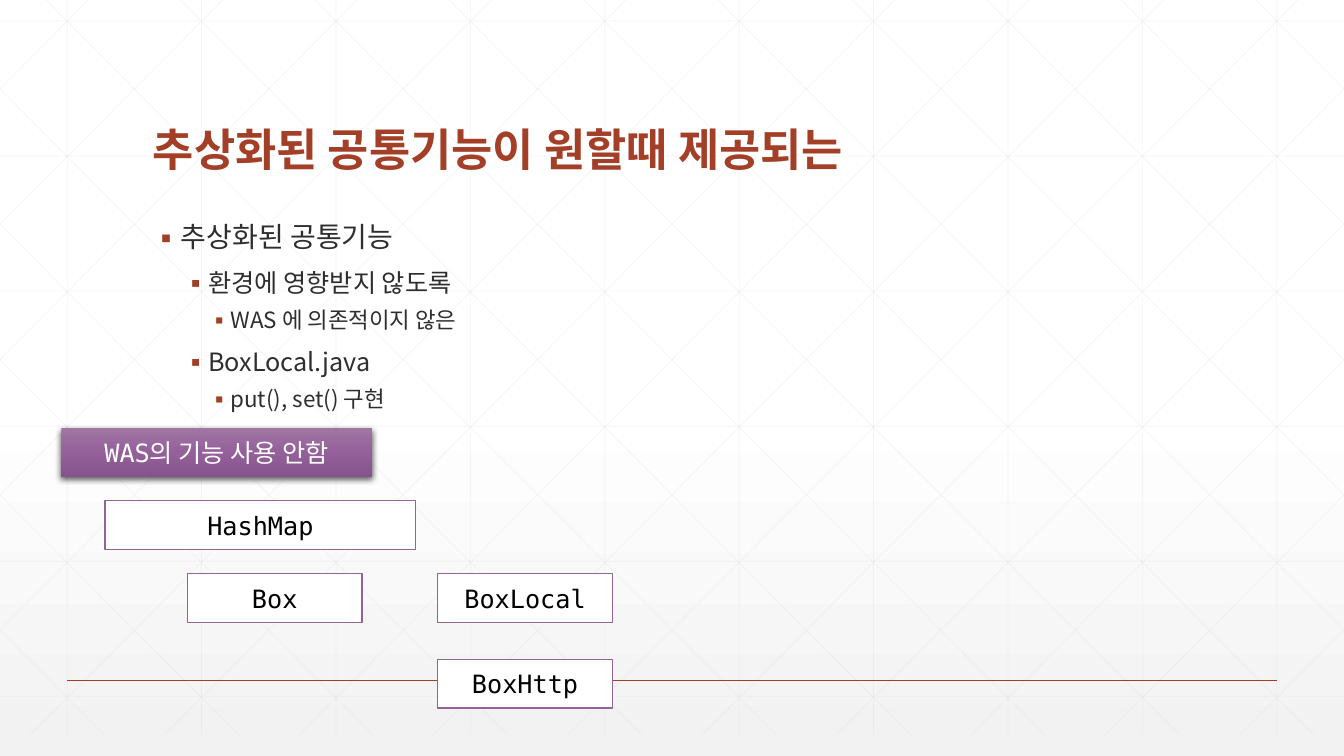
from dataclasses import dataclass
from typing import Optional

import lxml.etree
import pptx
import pptx.dml.color
import pptx.enum.shapes
import pptx.enum.text
import pptx.oxml
import pptx.oxml.ns
import pptx.util

RGBColor = pptx.dml.color.RGBColor
qn = pptx.oxml.ns.qn

RUST = RGBColor(0xA4, 0x3F, 0x27)
INK = RGBColor(0x2D, 0x2E, 0x2D)
BLACK = RGBColor(0x00, 0x00, 0x00)
WHITE = RGBColor(0xFF, 0xFF, 0xFF)
PALE = RGBColor(0xF2, 0xF2, 0xF2)
GRID_GREY = RGBColor(0xD9, 0xD9, 0xD9)
PURPLE = RGBColor(0x92, 0x63, 0x97)
PURPLE_LIGHT = RGBColor(0x9F, 0x76, 0xA3)
PURPLE_MID = RGBColor(0x94, 0x60, 0x9A)
PURPLE_DARK = RGBColor(0x85, 0x53, 0x8B)

SANS = "Noto Sans CJK KR"
MONO = "DejaVu Sans Mono"

# The slide is a grid of square cells, 160 columns by 90 rows.
COLS, ROWS = 160, 90
CELL = pptx.util.Inches(7.5) / ROWS


@dataclass
class Box:
    text: str
    col: float
    row: float
    cols: float
    raised: bool = False


@dataclass
class Level:
    size: int
    margin: float
    hanging: float
    before: int


WIDE, NARROW, BOX_ROWS = 37, 20.8, 5.8
BOXES = [
    Box("BoxLocal", 52.1, 68.3, NARROW),
    Box("HashMap", 12.5, 59.6, WIDE),
    Box("Box", 22.3, 68.3, NARROW),
    Box("WAS의 기능 사용 안함", 7.3, 51, WIDE, raised=True),
    Box("BoxHttp", 52.1, 78.5, NARROW),
]
LEVELS = [Level(20, 0.25, 0.25, 18), Level(18, 0.5, 0.2, 12), Level(16, 0.75, 0.2, 8)]
BULLETS = [
    (0, "추상화된 공통기능"),
    (1, "환경에 영향받지 않도록"),
    (2, "WAS 에 의존적이지 않은"),
    (1, "BoxLocal.java"),
    (2, "put(), set() 구현"),
]


def cells(n: float) -> int:
    return round(n * CELL)


def place(sp, col: float, row: float, cols: float, rows: float) -> None:
    sp.left, sp.top, sp.width, sp.height = map(cells, (col, row, cols, rows))


def add_run(p, text: str, size: int, color: RGBColor, face: str = SANS,
            bold: bool = False) -> None:
    r = p.add_run()
    r.text = text
    r.font.size = pptx.util.Pt(size)
    r.font.bold = bold
    r.font.color.rgb = color
    r.font.name = face
    ea = lxml.etree.SubElement(r.font._element, qn("a:ea"))
    ea.set("typeface", SANS)


def set_gradient(fill, element, stops: list[tuple[int, RGBColor]]) -> None:
    """Fill from top to bottom; element is the XML that holds the fill."""
    fill.gradient()
    fill.gradient_angle = 270
    gs_lst = element.find(".//" + qn("a:gsLst"))
    for gs in list(gs_lst):
        gs_lst.remove(gs)
    for percent, color in stops:
        gs = lxml.etree.SubElement(gs_lst, qn("a:gs"), pos=str(percent * 1000))
        lxml.etree.SubElement(gs, qn("a:srgbClr"), val=str(color))


def add_line(shapes, x1: float, y1: float, x2: float, y2: float, color: RGBColor,
             width: float, opacity: Optional[int] = None) -> None:
    line = shapes.add_connector(pptx.enum.shapes.MSO_CONNECTOR.STRAIGHT,
                                *map(cells, (x1, y1, x2, y2)))
    line.line.color.rgb = color
    line.line.width = pptx.util.Pt(width)
    sp_pr = line.element.find(qn("p:spPr"))
    if opacity is not None:
        clr = sp_pr.find(".//" + qn("a:srgbClr"))
        lxml.etree.SubElement(clr, qn("a:alpha"), val=str(opacity * 1000))
    lxml.etree.SubElement(sp_pr, qn("a:effectLst"))


def add_lattice(shapes) -> None:
    """Faint verticals, horizontals and mirrored diagonals clipped at the sides."""
    top, bottom, pitch, run = -2.5, 87.5, 16, 89.4
    slope = (bottom - top) / run
    segments = [(8 + pitch * i, top, 8 + pitch * i, bottom) for i in range(10)]
    segments += [(0, 2.5 + 16.08 * i, COLS, 2.5 + 16.08 * i) for i in range(6)]
    for i in range(-5, 10):
        start = 3 + pitch * i
        x1, x2 = max(start, 0), min(start + run, COLS)
        y1, y2 = (top + slope * (x - start) for x in (x1, x2))
        segments += [(x1, y1, x2, y2), (COLS - x1, y1, COLS - x2, y2)]
    group = shapes.add_group_shape()
    for segment in segments:
        add_line(group.shapes, *segment, GRID_GREY, 0.5, opacity=25)


def fill_title(sp) -> None:
    place(sp, 17, 6.6, 126, 15)
    tf = sp.text_frame
    tf.auto_size = pptx.enum.text.MSO_AUTO_SIZE.NONE
    tf.vertical_anchor = pptx.enum.text.MSO_ANCHOR.BOTTOM
    p = tf.paragraphs[0]
    p.alignment = pptx.enum.text.PP_ALIGN.LEFT
    p.line_spacing = 0.9
    add_run(p, "추상화된 공통기능이 원할때 제공되는", 32, RUST, bold=True)


def fill_body(sp) -> None:
    place(sp, 17, 26, 126, 50)
    tf = sp.text_frame
    tf.auto_size = pptx.enum.text.MSO_AUTO_SIZE.NONE
    for i, (depth, text) in enumerate(BULLETS):
        level = LEVELS[depth]
        p = tf.add_paragraph() if i else tf.paragraphs[0]
        p.level = depth
        p_pr = p._p.get_or_add_pPr()
        p_pr.set("marL", str(pptx.util.Inches(level.margin)))
        p_pr.set("indent", str(-pptx.util.Inches(level.hanging)))
        bu_clr = lxml.etree.SubElement(p_pr, qn("a:buClr"))
        lxml.etree.SubElement(bu_clr, qn("a:srgbClr"), val=str(RUST))
        lxml.etree.SubElement(p_pr, qn("a:buFont"), typeface=SANS)
        lxml.etree.SubElement(p_pr, qn("a:buChar"), char="▪")
        p.line_spacing = 0.9
        p.space_before = pptx.util.Pt(level.before if i else 0)
        add_run(p, text, level.size, INK)


def add_shadow(sp) -> None:
    effects = sp.element.spPr.find(qn("a:effectLst"))
    shadow = lxml.etree.SubElement(
        effects, qn("a:outerShdw"), blurRad=str(pptx.util.Pt(4.5)),
        dist=str(pptx.util.Pt(1.5)), dir="5400000", algn="ctr", rotWithShape="0")
    clr = lxml.etree.SubElement(shadow, qn("a:srgbClr"), val=str(BLACK))
    lxml.etree.SubElement(clr, qn("a:alpha"), val="63000")


def add_box(shapes, box: Box) -> None:
    sp = shapes.add_shape(pptx.enum.shapes.MSO_SHAPE.RECTANGLE,
                          *map(cells, (box.col, box.row, box.cols, BOX_ROWS)))
    sp.shadow.inherit = False
    if box.raised:
        set_gradient(sp.fill, sp.element.spPr,
                     [(0, PURPLE_LIGHT), (50, PURPLE_MID), (100, PURPLE_DARK)])
        sp.line.fill.background()
        add_shadow(sp)
    else:
        sp.fill.solid()
        sp.fill.fore_color.rgb = WHITE
        sp.line.color.rgb = PURPLE
        sp.line.width = pptx.util.Pt(1)
    tf = sp.text_frame
    tf.vertical_anchor = pptx.enum.text.MSO_ANCHOR.MIDDLE
    p = tf.paragraphs[0]
    p.alignment = pptx.enum.text.PP_ALIGN.CENTER
    add_run(p, box.text, 18, WHITE if box.raised else BLACK, MONO)


def main() -> None:
    prs = pptx.Presentation()
    prs.slide_width, prs.slide_height = cells(COLS), cells(ROWS)
    s = prs.slides.add_slide(prs.slide_layouts[1])
    set_gradient(s.background.fill, s.element, [(0, WHITE), (53, WHITE), (100, PALE)])
    add_lattice(s.shapes)
    add_line(s.shapes, 8, 81, 152, 81, RUST, 1)
    title, body = s.placeholders
    for sp in (title, body):
        s.shapes.element.append(sp.element)  # bring in front of the lattice
    fill_title(title)
    fill_body(body)
    for box in BOXES:
        add_box(s.shapes, box)
    prs.save("out.pptx")


if __name__ == "__main__":
    main()
